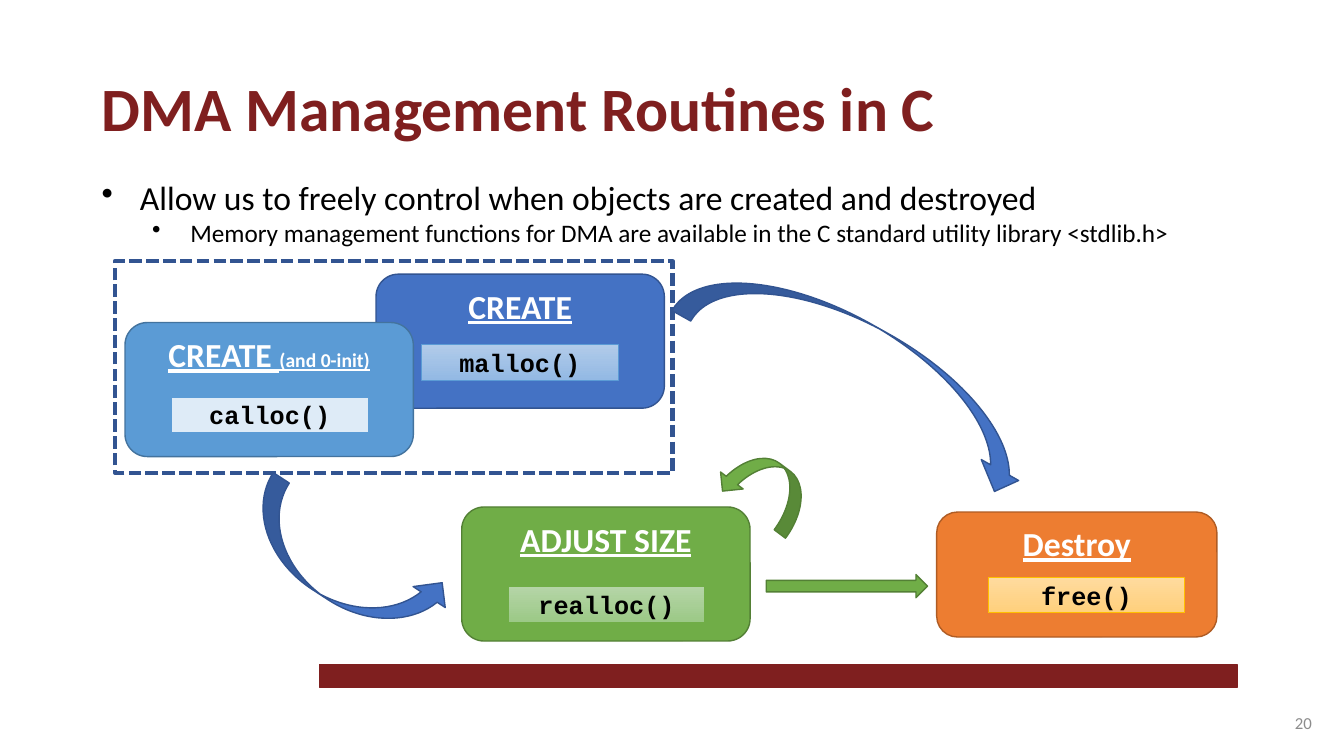
from dataclasses import dataclass

from lxml import etree
from pptx import Presentation
from pptx import util as u
from pptx.dml.color import RGBColor
from pptx.enum import dml, shapes, text
from pptx.oxml.ns import qn

COLUMNS, ROWS = 133.3, 75  # grid of the whole slide
SHAPE = shapes.MSO_SHAPE


@dataclass(frozen=True)
class Theme:
    heading: str = "Calibri"
    code: str = "Courier New"
    maroon: str = "7F1F1F"
    black: str = "000000"
    white: str = "FFFFFF"
    gray: str = "8C8C8C"
    blue: str = "4472C4"
    blue_edge: str = "325491"
    sky: str = "5B9BD5"
    sky_edge: str = "43739E"
    green: str = "70AD47"
    green_edge: str = "538035"
    orange: str = "ED7D31"
    orange_edge: str = "AF5C24"
    gold: str = "FFC000"
    title_size: int = 44
    large: int = 24
    medium: int = 18
    small: int = 14
    number_size: int = 12


THEME = Theme()


def color(value):
    return RGBColor.from_string(value)


def grid(presentation, column, row, width, height):
    """Turn grid columns and rows into a box in slide units."""
    across = presentation.slide_width / COLUMNS
    down = presentation.slide_height / ROWS
    return [u.Emu(round(n * step)) for n, step in
            zip((column, row, width, height), (across, down, across, down))]


def write(paragraph, words, ink, **font_format):
    run = paragraph.add_run()
    run.text = words
    for name, value in font_format.items():
        setattr(run.font, name, u.Pt(value) if name == "size" else value)
    run.font.color.rgb = color(ink)


def set_frame(shape, **frame_format):
    frame = shape.text_frame
    for name, value in {"word_wrap": True, **frame_format}.items():
        setattr(frame, name, value)
    return frame.paragraphs[0]


def add_bullet(paragraph, indent, level):
    paragraph.level = level
    properties = paragraph._p.get_or_add_pPr()
    properties.set("marL", str(u.Inches(indent)))
    properties.set("indent", str(-u.Inches(0.38)))
    etree.SubElement(properties, qn("a:buChar")).set("char", "•")


def add_block(presentation, slide, kind, box, fill, edge, weight=1):
    """Draw a preset shape; fill is None, one colour or a pair for a gradient."""
    shape = slide.shapes.add_shape(kind, *grid(presentation, *box))
    shape.shadow.inherit = False
    if fill is None:
        shape.fill.background()
    elif isinstance(fill, tuple):
        shape.fill.gradient()
        shape.fill.gradient_angle = 270
        for stop, value in zip(shape.fill.gradient_stops, fill):
            stop.color.rgb = color(value)
    else:
        shape.fill.solid()
        shape.fill.fore_color.rgb = color(fill)
    shape.line.color.rgb = color(edge)
    shape.line.width = u.Pt(weight)
    return shape


def add_card(presentation, slide, box, fill, edge, heading, call, offset,
             label_fill, label_edge, note=""):
    """Draw a rounded card with a heading and a function label inside."""
    card = add_block(presentation, slide, SHAPE.ROUNDED_RECTANGLE, box, fill, edge)
    paragraph = set_frame(card, vertical_anchor=text.MSO_ANCHOR.TOP)
    paragraph.alignment = text.PP_ALIGN.CENTER
    for words, size in ((heading, THEME.large), (note, THEME.small)):
        if words:
            write(paragraph, words, THEME.white, name=THEME.heading, size=size,
                  bold=True, underline=True)

    label_box = (box[0] + offset[0], box[1] + offset[1], 19.5, 3.5)
    label = add_block(presentation, slide, SHAPE.RECTANGLE, label_box,
                      label_fill, label_edge, 0.5)
    paragraph = set_frame(label, vertical_anchor=text.MSO_ANCHOR.MIDDLE)
    paragraph.alignment = text.PP_ALIGN.CENTER
    write(paragraph, call, THEME.black, name=THEME.code, size=THEME.medium, bold=True)


def add_curved_arrow(presentation, slide, box, rotation, fill, edge, flipped):
    arrow = add_block(presentation, slide, SHAPE.CURVED_LEFT_ARROW, box, fill, edge)
    arrow.rotation = rotation
    if flipped:
        arrow._element.spPr.get_or_add_xfrm().set("flipV", "1")


def add_title(presentation, slide):
    title = slide.shapes.title
    title.left, title.top, title.width, title.height = grid(
        presentation, 9.1, 6.4, 109, 8.4)
    paragraph = set_frame(title, vertical_anchor=text.MSO_ANCHOR.TOP,
                          auto_size=text.MSO_AUTO_SIZE.NONE)
    paragraph.alignment = text.PP_ALIGN.LEFT
    write(paragraph, "DMA Management Routines in C", THEME.maroon,
          name=THEME.heading, size=THEME.title_size, bold=True)


def add_bullets(presentation, slide):
    box = slide.shapes.add_textbox(*grid(presentation, 9.1, 17.1, 111.2, 14.5))
    paragraph = set_frame(box)
    lines = (
        ("Allow us to freely control when objects are created and destroyed",
         THEME.large, 0.38),
        ("Memory management functions for DMA are available in the C standard "
         "utility library <stdlib.h>", THEME.medium, 0.88),
    )
    for level, (words, size, indent) in enumerate(lines):
        if level:
            paragraph = box.text_frame.add_paragraph()
        add_bullet(paragraph, indent, level)
        write(paragraph, words, THEME.black, name=THEME.heading, size=size)


def add_slide_number(presentation, slide):
    box = slide.shapes.add_textbox(*grid(presentation, 101.1, 69.7, 30, 4))
    paragraph = set_frame(box, vertical_anchor=text.MSO_ANCHOR.MIDDLE)
    paragraph.alignment = text.PP_ALIGN.RIGHT
    write(paragraph, "20", THEME.gray, name=THEME.heading, size=THEME.number_size)


def main():
    presentation = Presentation()
    presentation.slide_width = u.Inches(13.33)
    presentation.slide_height = u.Inches(7.5)
    slide = presentation.slides.add_slide(presentation.slide_layouts[5])

    # Title, bullets and footer
    add_title(presentation, slide)
    add_bullets(presentation, slide)
    add_block(presentation, slide, SHAPE.RECTANGLE, (31.7, 65.9, 91, 2.3),
              THEME.maroon, THEME.maroon)
    add_slide_number(presentation, slide)

    # Routine cards: box, colours, heading, call, label offset and colours
    cards = (
        ((37.3, 27.2, 28.6, 13.3), THEME.blue, THEME.blue_edge, "CREATE",
         "malloc()", (4.5, 7), ("B1CBE9", "93B9E4"), THEME.sky),
        ((92.9, 50.8, 27.8, 12.4), THEME.orange, THEME.orange_edge, "Destroy",
         "free()", (5.1, 6.5), ("FFDB9E", "FFD07C"), THEME.gold),
        ((12.4, 32, 28.6, 13.3), THEME.sky, THEME.sky_edge, "CREATE ",
         "calloc()", (4.6, 7.4), "DEEBF7", THEME.sky, "(and 0-init)"),
        ((45.8, 50.3, 28.6, 13.3), THEME.green, THEME.green_edge, "ADJUST SIZE",
         "realloc()", (4.6, 7.9), ("B5D5A7", "9CC987"), THEME.green),
    )
    for card in cards:
        add_card(presentation, slide, *card)

    # Dashed frame around the two creation routines
    frame = add_block(presentation, slide, SHAPE.RECTANGLE, (11.4, 25.9, 55.3, 21),
                      None, THEME.blue_edge, 3)
    frame.line.dash_style = dml.MSO_LINE.SQUARE_DOT

    # Arrows: create to destroy, create to adjust, adjust again, adjust to destroy
    blue, green = (THEME.blue, THEME.blue_edge), (THEME.green, THEME.green_edge)
    for box, rotation, colors, flipped in (
        ((81.4, 17.2, 8.5, 38.8), 299.3, blue, False),
        ((30.4, 45.1, 7.6, 21.9), 123.1, blue, True),
        ((73.1, 43.8, 5.6, 9.2), 306.8, green, True),
    ):
        add_curved_arrow(presentation, slide, box, rotation, *colors, flipped)
    add_block(presentation, slide, SHAPE.RIGHT_ARROW, (76, 57, 16, 2.3), *green)

    presentation.save("out.pptx")


if __name__ == "__main__":
    main()
